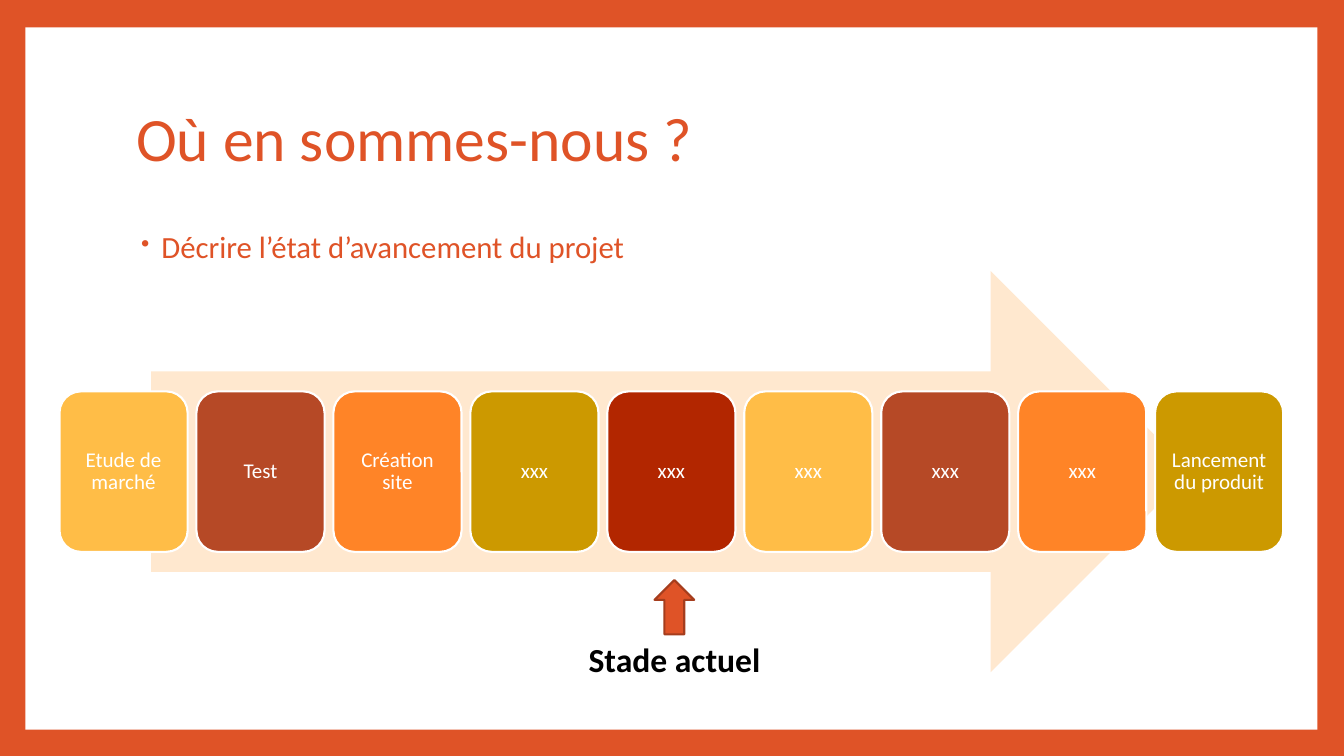
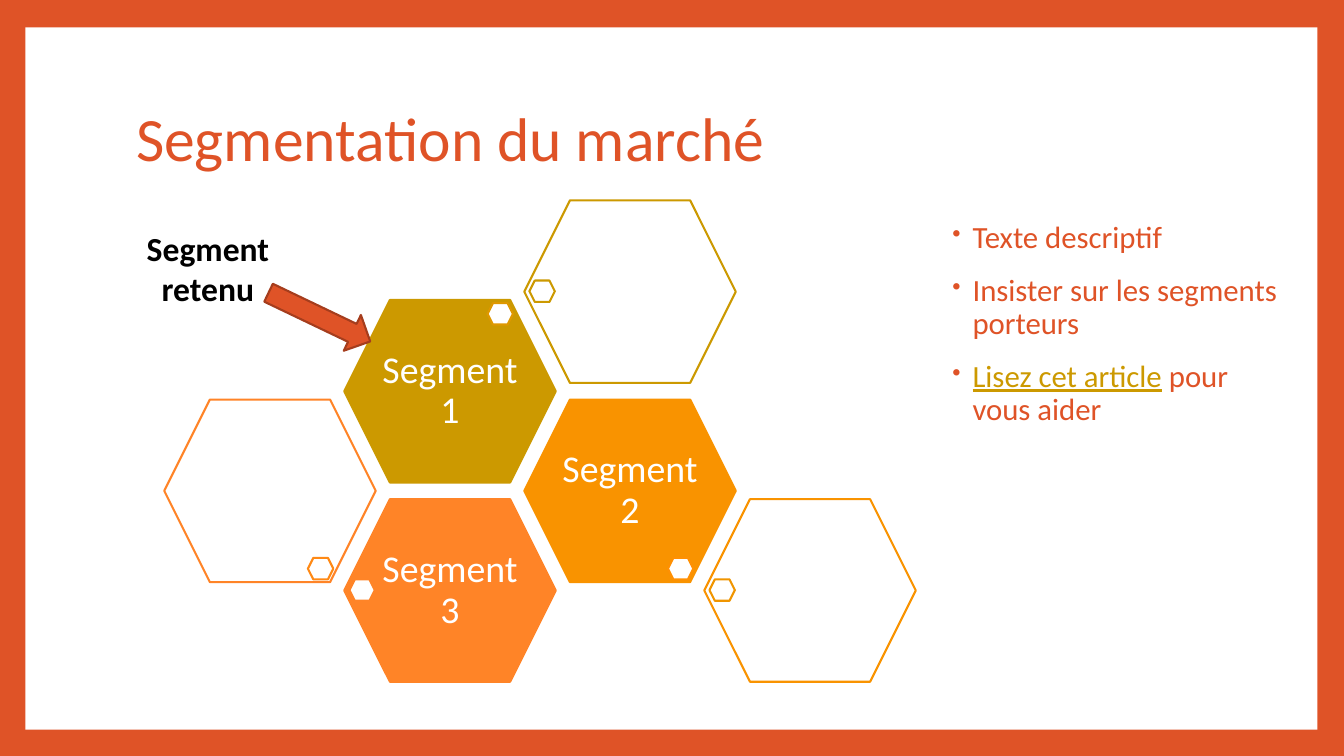
from pptx import Presentation
from pptx.dml.color import RGBColor
from pptx.enum.shapes import MSO_SHAPE
from pptx.enum.text import MSO_ANCHOR, PP_ALIGN
from pptx.oxml.ns import qn
from pptx.util import Cm, Pt
from lxml import etree

RECT, ROUND = MSO_SHAPE.RECTANGLE, MSO_SHAPE.ROUNDED_RECTANGLE
ARROW, HEXAGON = MSO_SHAPE.RIGHT_ARROW, MSO_SHAPE.HEXAGON
MIDDLE, TOP = MSO_ANCHOR.MIDDLE, MSO_ANCHOR.TOP
LEFT, CENTER = PP_ALIGN.LEFT, PP_ALIGN.CENTER

FONT = "Calibri"
COLORS = {
    "main": "DF5327", "edge": "A53D1D", "white": "FFFFFF", "black": "000000",
    "pale": "FFE8CF", "yellow": "FFBD47", "brick": "B64926",
    "orange": "FF8427", "gold": "CC9900", "red": "B22600", "amber": "F99300",
    "orange_mid": "FF8915", "amber_mid": "FF9003", "amber_dark": "F09500",
    "gold_mid": "DE9800",
}
STYLES = {
    "title": {"size": Pt(44), "color": "main"},
    "body": {"size": Pt(22), "color": "main"},
    "link": {"size": Pt(22), "color": "gold", "underline": True},
    "step": {"size": Pt(15), "color": "white"},
    "segment": {"size": Pt(27), "color": "white"},
    "label": {"size": Pt(24), "color": "black", "bold": True},
}
STEPS = ["Etude de marché", "Test", "Création site", "xxx", "xxx", "xxx",
         "xxx", "xxx", "Lancement du produit"]
STEP_COLORS = ["yellow", "brick", "orange", "gold", "red"]
MARKER_SPOTS = {"left": (0.13, 2.02), "top": (3.61, 0.08), "bottom": (3.62, 3.99)}
SEGMENTS = [
    (1, 3, "Segment 3", "orange", "left", "orange"),
    (0, 2, "", "orange", "bottom", "orange_mid"),
    (2, 2, "Segment 2", "amber", "bottom", "amber_mid"),
    (3, 3, "", "amber", "left", "amber_dark"),
    (1, 1, "Segment 1", "gold", "top", "gold_mid"),
    (2, 0, "", "gold", "left", "gold"),
]


def rgb(name):
    """Return the named colour."""
    return RGBColor.from_string(COLORS[name])


def add_run(p, text, style):
    """Add a run in a named text style."""
    r = p.add_run()
    r.text = text
    r.font.name = FONT
    for key, value in STYLES[style].items():
        if key == "color":
            r.font.color.rgb = rgb(value)
        else:
            setattr(r.font, key, value)


def set_frame(tf, anchor=TOP, inset=(0.25, 0.13)):
    """Set wrapping, anchor and insets of a text frame."""
    x, y = (Cm(v) for v in inset)
    values = {"word_wrap": True, "vertical_anchor": anchor, "margin_left": x,
              "margin_right": x, "margin_top": y, "margin_bottom": y}
    for key, value in values.items():
        setattr(tf, key, value)


def write(tf, text, style, align=LEFT, spacing=0.9):
    """Write one paragraph into a text frame."""
    p = tf.paragraphs[0]
    p.alignment, p.line_spacing = align, spacing
    add_run(p, text, style)


def add_textbox(s, box, anchor=TOP):
    """Add an empty text box and return its frame."""
    tf = s.shapes.add_textbox(*map(Cm, box)).text_frame
    set_frame(tf, anchor)
    return tf


def add_shape(s, kind, box, fill, line=None):
    """Add a flat shape with a fill and an optional outline."""
    sp = s.shapes.add_shape(kind, *map(Cm, box))
    sp.shadow.inherit = False
    sp.fill.solid()
    sp.fill.fore_color.rgb = rgb(fill)
    if line:
        sp.line.color.rgb = rgb(line)
        sp.line.width = Pt(1.5)
    else:
        sp.line.fill.background()
    return sp


def add_base(prs, title):
    """Add a slide with the coloured border and its title."""
    s = prs.slides.add_slide(prs.slide_layouts[6])
    s.background.fill.solid()
    s.background.fill.fore_color.rgb = rgb("main")
    add_shape(s, RECT, (0.64, 0.69, 32.56, 17.7), "white")
    write(add_textbox(s, (3.18, 1.7, 27.43, 3.76), MIDDLE), title, "title")
    return s


def add_bullets(s, box, items):
    """Add bulleted paragraphs, each a list of text and style pairs."""
    tf = add_textbox(s, box)
    for i, runs in enumerate(items):
        p = tf.paragraphs[0] if i == 0 else tf.add_paragraph()
        p.line_spacing, p.space_before = 0.9, Pt(14)
        pPr = p._p.get_or_add_pPr()
        pPr.set("marL", str(Cm(0.64)))
        pPr.set("indent", str(Cm(-0.51)))
        color = etree.SubElement(pPr, qn("a:buClr"))
        etree.SubElement(color, qn("a:srgbClr"), val=COLORS["main"])
        etree.SubElement(pPr, qn("a:buSzPct"), val="80000")
        etree.SubElement(pPr, qn("a:buChar"), char="•")
        for text, style in runs:
            add_run(p, text, style)


def add_pointer(s, arrow_box, angle, label_box, text):
    """Add a rotated arrow and its bold label."""
    add_shape(s, ARROW, arrow_box, "main", "edge").rotation = angle
    write(add_textbox(s, label_box), text, "label", CENTER, 1.0)


def add_process(s, box):
    """Add the wide arrow and the row of steps centred on it."""
    x, y, w, h = box
    add_shape(s, ARROW, (x + 2.31, y, 26.21, h), "pale")
    step_w, step_h = 3.23, 0.4 * h
    pitch = (w - step_w) / (len(STEPS) - 1)
    for i, text in enumerate(STEPS):
        fill = STEP_COLORS[i % len(STEP_COLORS)]
        step = (x + i * pitch, y + (h - step_h) / 2, step_w, step_h)
        tf = add_shape(s, ROUND, step, fill, "white").text_frame
        set_frame(tf, MIDDLE, (0.15, 0.15))
        write(tf, text, "step", CENTER)


def add_honeycomb(s, box):
    """Add the segment hexagons on a staggered grid, each with a marker."""
    x, y, w, h = box
    hex_w, hex_h = 5.33, 4.6
    col_pitch, row_pitch = (w - hex_w) / 3, (h - hex_h) / 3
    for col, row, text, color, spot, marker_line in SEGMENTS:
        left, top = x + col * col_pitch, y + row * row_pitch
        fill = color if text else "white"
        sp = add_shape(s, HEXAGON, (left, top, hex_w, hex_h), fill, color)
        if text:
            set_frame(sp.text_frame, MIDDLE, (0, 0.1))
            write(sp.text_frame, text, "segment", CENTER)
        dx, dy = MARKER_SPOTS[spot]
        marker = (left + dx, top + dy, 0.64, 0.54)
        add_shape(s, HEXAGON, marker, "white", marker_line)


def build_progress(prs):
    """Build the project progress slide."""
    s = add_base(prs, "Où en sommes-nous ?")
    add_bullets(s, (3.18, 5.72, 27.43, 11.23),
                [[("Décrire l’état d’avancement du projet", "body")]])
    add_process(s, (1.5, 6.83, 30.84, 10.11))
    add_pointer(s, (16.31, 14.8, 1.37, 1), 270,
                (14.55, 15.98, 4.9, 2.31), "Stade actuel")


def build_segmentation(prs):
    """Build the market segmentation slide."""
    s = add_base(prs, "Segmentation du marché")
    add_honeycomb(s, (4.14, 5.05, 18.94, 12.13))
    add_bullets(s, (23.62, 5.46, 8.86, 11.23), [
        [("Texte descriptif", "body")],
        [("Insister sur les segments porteurs", "body")],
        [("Lisez cet article", "link"), (" pour vous aider", "body")],
    ])
    add_pointer(s, (6.63, 7.49, 2.84, 1), 25.6,
                (2.79, 5.61, 4.9, 2.31), "Segment retenu")


def main():
    """Build and save the presentation."""
    prs = Presentation()
    prs.slide_width, prs.slide_height = Cm(33.87), Cm(19.05)
    build_progress(prs)
    build_segmentation(prs)
    prs.save("out.pptx")


main()
